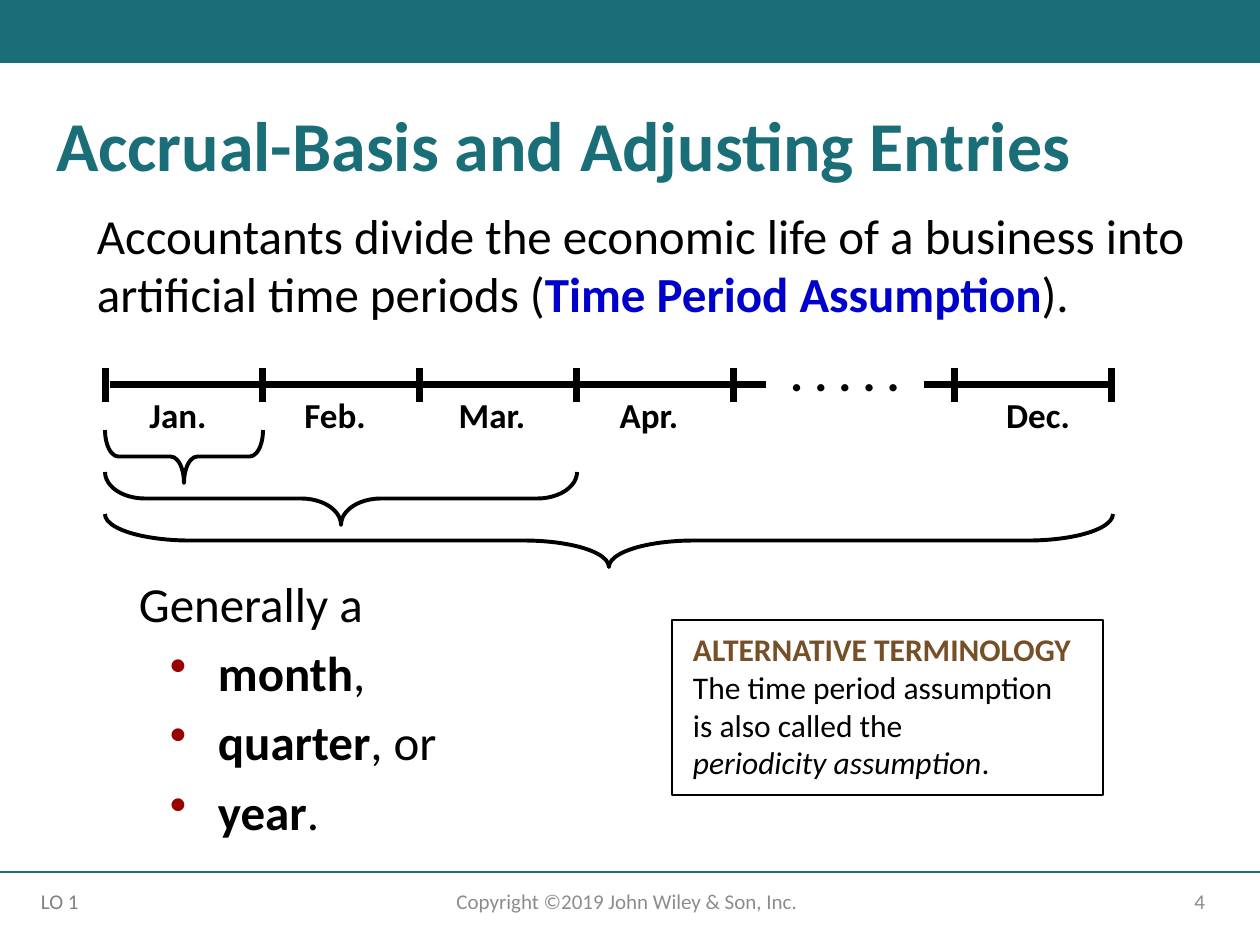
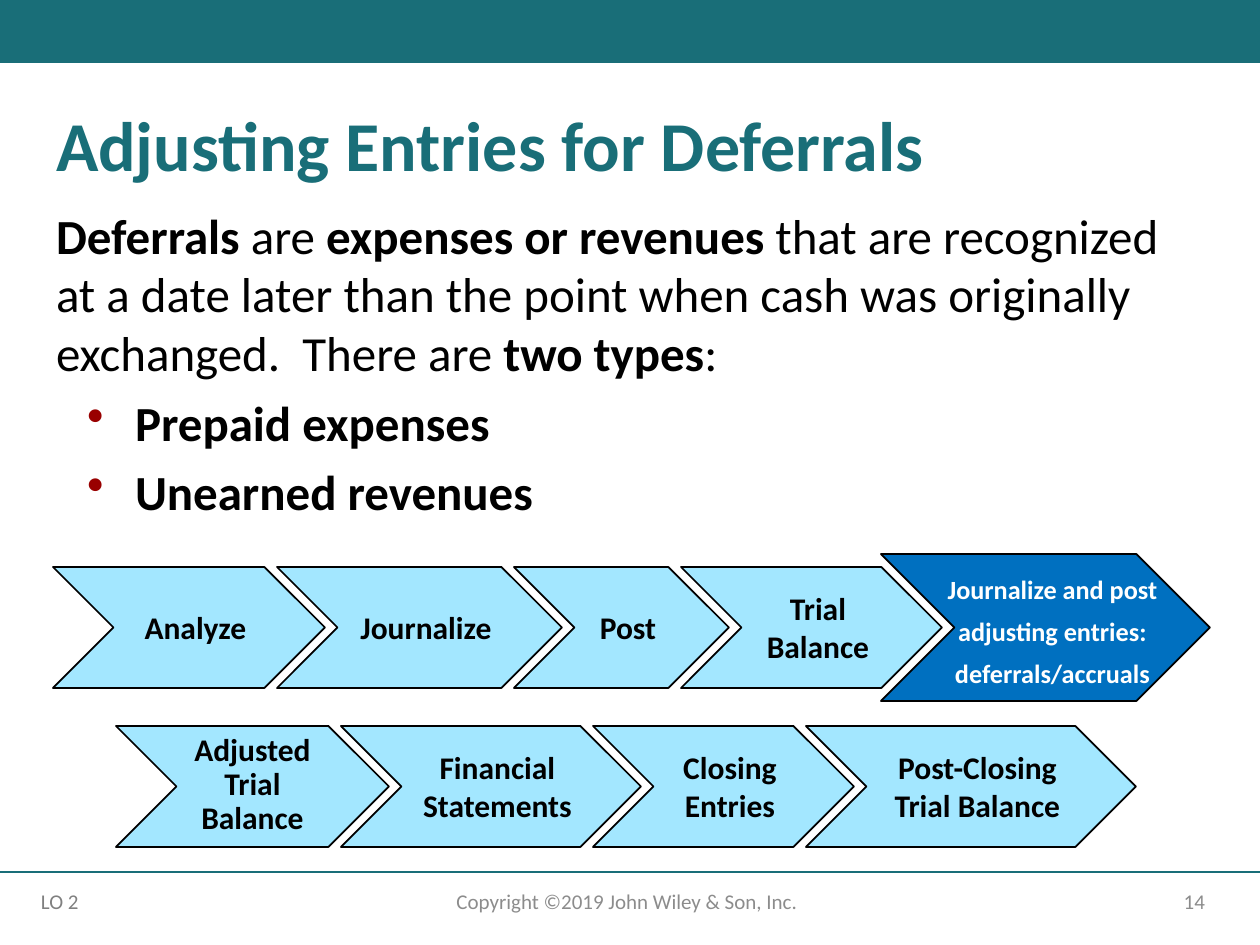
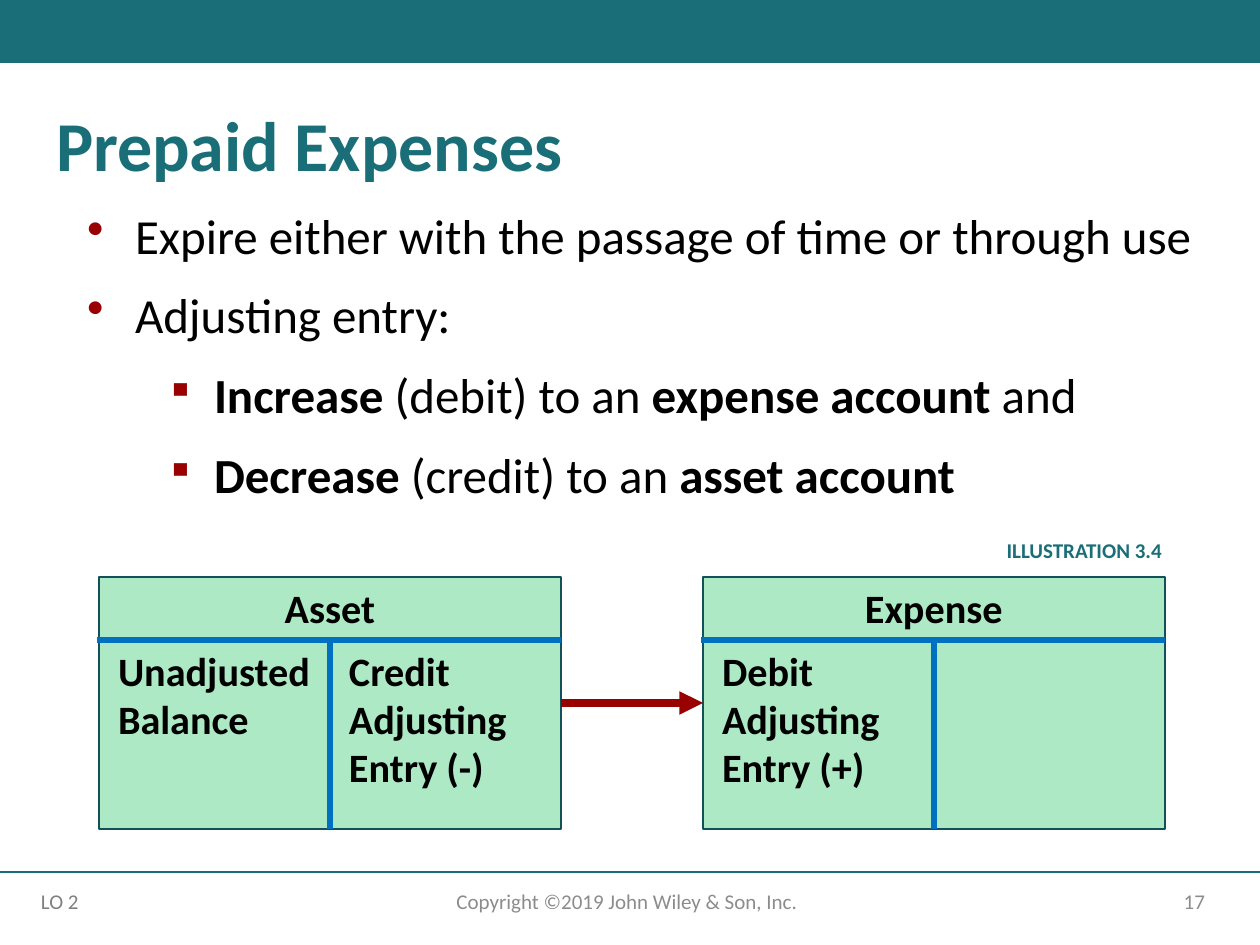
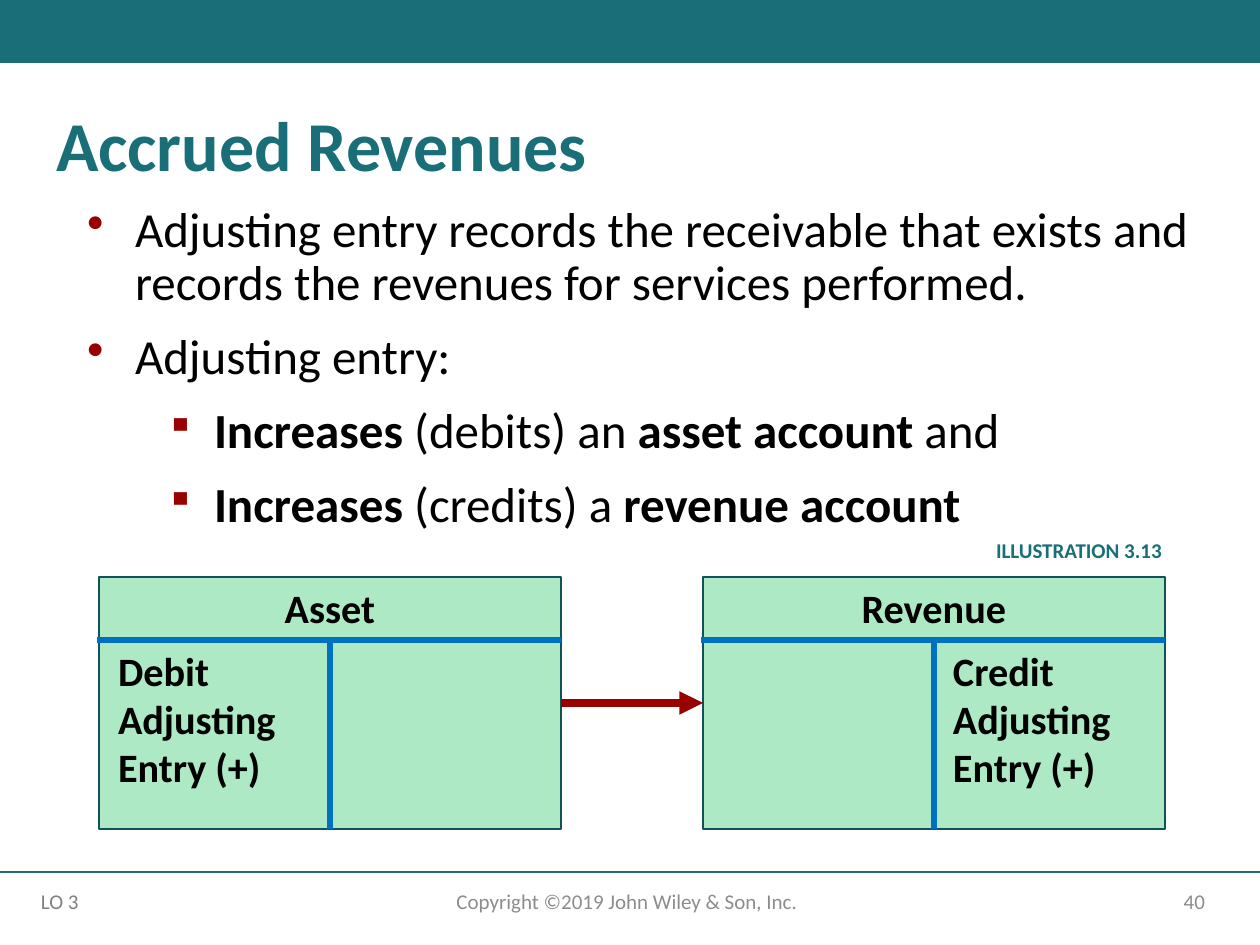
"""Build four slides on accrual-basis accounting and adjusting entries."""
from lxml.etree import SubElement
from pptx import Presentation
from pptx.dml.color import RGBColor
from pptx.enum.shapes import MSO_CONNECTOR, MSO_SHAPE
from pptx.enum.text import MSO_ANCHOR, MSO_AUTO_SIZE, PP_ALIGN
from pptx.oxml.ns import qn
from pptx.util import Emu, Pt

FONT = "Calibri"
COLORS = {
    "teal": "196E78", "black": "000000", "white": "FFFFFF", "footer": "8C8C8C",
    "objective": "808080", "bullet": "990000", "term": "0000CC", "brown": "774F27",
    "step": "A3E7FF", "current": "0070C0", "account": "ADE9C4", "edge": "125159",
}
COPYRIGHT = "Copyright ©2019 John Wiley & Son, Inc."

STYLES = {
    "plain": {},
    "term": {"color": "term"},
    "bullet": {"indent": 79, "hang": 48, "mark": "•"},
    "sub": {"indent": 158, "hang": 48, "mark": "▪", "mark_percent": 80},
    "objective": {"indent": 9},
    "heading": {"indent": 8, "color": "brown"},
    "note": {"indent": 8, "emphasis": "italic"},
}

PERIODS = {
    "intro": [("term", "Accountants divide the economic life of a business into "
                       "artificial time periods (*Time Period Assumption*).")],
    "months": ["Jan.", "Feb.", "Mar.", "Apr."],
    "last_month": "Dec.",
    "spans": [158, 472, 1008],
    "choices": [("plain", "Generally a"), ("bullet", "*month*,"),
                ("bullet", "*quarter*, or"), ("bullet", "*year*.")],
    "terminology": [("heading", "*ALTERNATIVE TERMINOLOGY*"),
                    ("note", "The time period assumption"),
                    ("note", "is also called the"),
                    ("note", "*periodicity assumption*.")],
}
DEFERRALS = {
    "body": [("plain", "*Deferrals *are *expenses or revenues *that are recognized at a date "
                       "later than the point when cash was originally exchanged.  "
                       "There are *two types*:"),
             ("bullet", "*Prepaid expenses*"), ("bullet", "*Unearned revenues*")],
    "cycle": [
        (53, 567, [("Analyze", 272), ("Journalize", 285), ("Post", 215), ("Trial Balance", 261)]),
        (116, 726, [("Adjusted Trial Balance", 273), ("Financial Statements", 300),
                    ("Closing Entries", 261), ("Post-Closing Trial Balance", 330)]),
    ],
    "current": "Journalize and post adjusting entries: deferrals/accruals",
}
PREPAID = {
    "body": [("bullet", "Expire either with the passage of time or through use"),
             ("bullet", "Adjusting entry:"),
             ("sub", "*Increase* (debit) to an *expense account *and"),
             ("sub", "*Decrease* (credit) to an *asset account*")],
    "spacing": 1.0,
    "caption": "ILLUSTRATION 3.4",
    "accounts": [("Asset", ["Unadjusted", "Balance"], ["Credit", "Adjusting Entry (-)"]),
                 ("Expense", ["Debit", "Adjusting Entry (+)"], [])],
}
ACCRUED = {
    "body": [("bullet", "Adjusting entry records the receivable that exists and records "
                        "the revenues for services performed."),
             ("bullet", "Adjusting entry:"),
             ("sub", "*Increases *(debits) an *asset account *and"),
             ("sub", "*Increases *(credits) a *revenue account*")],
    "spacing": 0.9,
    "caption": "ILLUSTRATION 3.13",
    "accounts": [("Asset", ["Debit", "Adjusting Entry (+)"], []),
                 ("Revenue", [], ["Credit", "Adjusting Entry (+)"])],
}
BODY_BOX = (43, 199, 1176, 357)


def px(length):
    """Turn pixels into EMU."""
    return Emu(round(length * 914400 / 126))


def rgb(name):
    """Look up a named colour."""
    return RGBColor.from_string(COLORS[name])


def bold(lines):
    """Mark plain lines as bold paragraphs."""
    return [("plain", f"*{line}*") for line in lines]


def format_paragraph(paragraph, style, text, size, color):
    """Fill a paragraph with marked-up text, asterisks switching emphasis."""
    props = paragraph._p.get_or_add_pPr()
    props.set("marL", str(px(style.get("indent", 0))))
    props.set("indent", str(-px(style.get("hang", 0))))
    if "mark" in style:
        SubElement(SubElement(props, qn("a:buClr")), qn("a:srgbClr"), val=COLORS["bullet"])
        if "mark_percent" in style:
            SubElement(props, qn("a:buSzPct"), val=str(style["mark_percent"] * 1000))
        SubElement(props, qn("a:buChar"), char=style["mark"])
    else:
        SubElement(props, qn("a:buNone"))
    for index, piece in enumerate(text.split("*")):
        if not piece:
            continue
        run = paragraph.add_run()
        run.text = piece
        emphasized = index % 2 == 1
        font = run.font
        font.name, font.size = FONT, Pt(size)
        font.bold = emphasized and style.get("emphasis") != "italic"
        font.italic = emphasized and style.get("emphasis") == "italic"
        font.color.rgb = rgb(style.get("color", color) if emphasized else color)


def write(shape, content, size, color="black", align=PP_ALIGN.LEFT, anchor=MSO_ANCHOR.TOP,
          insets=(13, 6, 13, 6), spacing=None, before=0, wrap=True):
    """Write styled paragraphs into a shape."""
    frame = shape.text_frame
    frame.auto_size = MSO_AUTO_SIZE.NONE
    frame.word_wrap = wrap
    frame.vertical_anchor = anchor
    (frame.margin_left, frame.margin_top,
     frame.margin_right, frame.margin_bottom) = map(px, insets)
    for index, (style, text) in enumerate(content):
        paragraph = frame.add_paragraph() if index else frame.paragraphs[0]
        format_paragraph(paragraph, STYLES[style], text, size, color)
        paragraph.alignment = align
        paragraph.space_before = Pt(before if index else 0)
        if spacing:
            paragraph.line_spacing = spacing


def add_text(slide, box, content, size, **options):
    """Add a text box."""
    write(slide.shapes.add_textbox(*map(px, box)), content, size, **options)


def add_block(slide, kind, box, fill=None, edge=None, width=1):
    """Add a preset shape with the given fill and outline."""
    block = slide.shapes.add_shape(kind, *map(px, box))
    block.shadow.inherit = False
    if fill:
        block.fill.solid()
        block.fill.fore_color.rgb = rgb(fill)
    else:
        block.fill.background()
    if edge:
        block.line.color.rgb = rgb(edge)
        block.line.width = Pt(width)
    else:
        block.line.fill.background()
    return block


def add_line(slide, x1, y1, x2, y2, color, width, arrow=False):
    """Add a straight line, with an arrowhead if wanted."""
    line = slide.shapes.add_connector(MSO_CONNECTOR.STRAIGHT, *map(px, (x1, y1, x2, y2)))
    line.line.color.rgb = rgb(color)
    line.line.width = Pt(width)
    if arrow:
        SubElement(line.line._get_or_add_ln(), qn("a:tailEnd"), type="triangle")
    SubElement(line._element.spPr, qn("a:effectLst"))


def add_frame(deck, title, objective, number):
    """Start a slide with its band, title and footer."""
    slide = deck.slides.add_slide(deck.slide_layouts[5])
    add_block(slide, MSO_SHAPE.RECTANGLE, (0, 0, 1260, 63), "teal")
    add_line(slide, 0, 872, 1260, 872, "teal", 1)
    heading = slide.shapes.title
    heading.left, heading.top, heading.width, heading.height = map(px, (43, 105, 1196, 89))
    write(heading, bold([title]), 40, "teal", spacing=0.9)
    add_text(slide, (890, 876, 328, 50), [("plain", str(number))], 12, color="footer",
             align=PP_ALIGN.RIGHT, anchor=MSO_ANCHOR.MIDDLE)
    add_text(slide, (414, 876, 426, 50), [("plain", COPYRIGHT)], 12, color="footer",
             align=PP_ALIGN.CENTER, anchor=MSO_ANCHOR.MIDDLE)
    add_text(slide, (32, 883, 67, 38), [("objective", f"LO {objective}")], 12,
             color="objective", insets=(0, 6, 0, 6))
    return slide


def draw_timeline(slide, content):
    """Draw the year with its months and the braces below it."""
    month, start, december = 157, 106, 955
    add_line(slide, 110, 385, 1113, 385, "black", 4)
    gap = add_block(slide, MSO_SHAPE.RECTANGLE, (766, 368, 158, 42), "white")
    write(gap, bold([". . . . ."]), 28, align=PP_ALIGN.CENTER, anchor=MSO_ANCHOR.MIDDLE,
          spacing=0.15, wrap=False)
    ticks = [start + month * index for index in range(len(content["months"]) + 1)]
    for tick in ticks + [december, december + month]:
        add_line(slide, tick, 368, tick, 402, "black", 4)
    labels = [(name, tick + 72) for name, tick in zip(content["months"], ticks)]
    for name, center in labels + [(content["last_month"], december + 83)]:
        add_text(slide, (center - 60, 387, 120, 54), bold([name]), 20, align=PP_ALIGN.CENTER)
    depth = 53
    for index, span in enumerate(content["spans"]):
        left = 105 + (span - depth) / 2
        top = 430 + 42 * index - (span - depth) / 2
        brace = add_block(slide, MSO_SHAPE.LEFT_BRACE, (left, top, depth, span),
                          edge="black", width=2.25)
        brace.rotation = 270
        brace.adjustments[0] = round(0.2 * span / 126, 2)


def fill_periods(slide, content):
    """Fill the time period slide."""
    add_text(slide, (84, 199, 1144, 131), content["intro"], 28)
    draw_timeline(slide, content)
    add_text(slide, (126, 567, 514, 282), content["choices"], 28, before=6)
    terminology = add_block(slide, MSO_SHAPE.RECTANGLE, (672, 620, 431, 175),
                            edge="black", width=1.5)
    write(terminology, content["terminology"], 18, insets=(13, 10, 13, 13))


def fill_deferrals(slide, content):
    """Fill the deferrals slide with its accounting cycle."""
    overlap = 48
    add_text(slide, BODY_BOX, content["body"], 28, before=6)
    for left, top, steps in content["cycle"]:
        for name, width in steps:
            step = add_block(slide, MSO_SHAPE.CHEVRON, (left, top, width, 121), "step", "black")
            crowded = name.count(" ") > 1 and width < 300
            write(step, bold([name]), 18, align=PP_ALIGN.CENTER, anchor=MSO_ANCHOR.MIDDLE,
                  insets=(0 if crowded else 13, 4, 0, 6), spacing=0.9 if crowded else None)
            left += width - overlap
    add_block(slide, MSO_SHAPE.CHEVRON, (881, 554, 329, 147), "current", "black")
    add_text(slide, (895, 557, 315, 145), bold([content["current"]]), 15, color="white",
             align=PP_ALIGN.CENTER, spacing=Pt(24))


def draw_account(slide, left, name, debit, credit):
    """Draw one T-account."""
    top, header, side, depth = 577, 63, 231, 189
    split, middle, right = top + header, left + side, left + 2 * side
    title = add_block(slide, MSO_SHAPE.RECTANGLE, (left, top, 2 * side, header),
                      "account", "edge")
    write(title, bold([name]), 23, align=PP_ALIGN.CENTER)
    for x, entry in ((left, debit), (middle, credit)):
        cell = add_block(slide, MSO_SHAPE.RECTANGLE, (x, split, side, depth), "account", "edge")
        write(cell, bold(entry), 23, insets=(19, 6, 13, 6))
    add_line(slide, left - 2, split, right, split, "current", 3)
    add_line(slide, middle, split, middle, split + depth, "current", 3)


def fill_entry(slide, content):
    """Fill an adjusting entry slide with its pair of accounts."""
    add_text(slide, BODY_BOX, content["body"], 28, before=12, spacing=content["spacing"])
    for left, account in zip((99, 703), content["accounts"]):
        draw_account(slide, left, *account)
    add_line(slide, 561, 703, 703, 703, "bullet", 4.5, arrow=True)
    add_text(slide, (960, 532, 215, 38), bold([content["caption"]]), 12, color="teal",
             align=PP_ALIGN.RIGHT)


SLIDES = [
    ("Accrual-Basis and Adjusting Entries", 1, 4, fill_periods, PERIODS),
    ("Adjusting Entries for Deferrals", 2, 14, fill_deferrals, DEFERRALS),
    ("Prepaid Expenses", 2, 17, fill_entry, PREPAID),
    ("Accrued Revenues", 3, 40, fill_entry, ACCRUED),
]


def main():
    """Build and save the deck."""
    deck = Presentation()
    deck.slide_width, deck.slide_height = px(1260), px(945)
    for title, objective, number, fill, content in SLIDES:
        fill(add_frame(deck, title, objective, number), content)
    deck.save("out.pptx")


if __name__ == "__main__":
    main()
